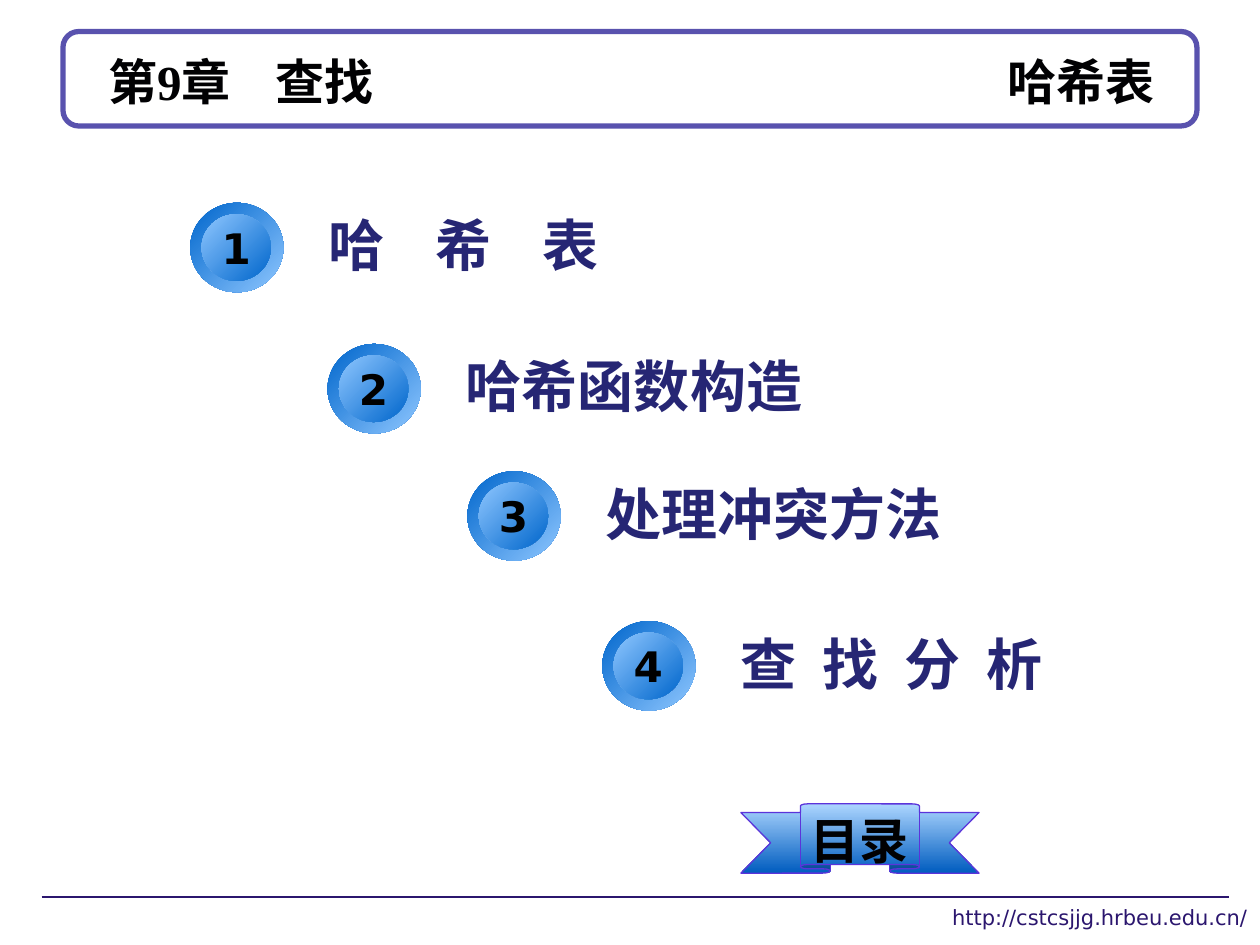
from lxml.etree import SubElement
from pptx import Presentation
from pptx.dml.color import RGBColor
from pptx.enum.shapes import MSO_CONNECTOR, MSO_SHAPE
from pptx.enum.text import MSO_ANCHOR, PP_ALIGN
from pptx.oxml.ns import qn
from pptx.util import Inches, Pt

WHITE = RGBColor(0xFF, 0xFF, 0xFF)
BLACK = RGBColor(0x00, 0x00, 0x00)
INK = RGBColor(0x01, 0x01, 0x03)
FRAME = RGBColor(0x59, 0x52, 0xAE)
FOOTER = RGBColor(0x2B, 0x16, 0x6E)
TOPIC = RGBColor(0x26, 0x26, 0x74)
DEEP_BLUE = RGBColor(0x00, 0x66, 0xCC)
PALE_BLUE = RGBColor(0x8F, 0xC7, 0xFF)
RIBBON_TOP = RGBColor(0xAD, 0xD6, 0xFF)
RIBBON_BASE = RGBColor(0x00, 0x5C, 0xBF)
RIBBON_EDGE = RGBColor(0x5B, 0x34, 0xDA)

TITLE_FONT = dict(name="Times New Roman", size=Pt(28), bold=True, color=INK)
TOPIC_FONT = dict(name="Times New Roman", size=Pt(32), bold=True, color=TOPIC)
NUMBER_FONT = dict(name="DejaVu Sans", size=Pt(24), bold=True, color=BLACK)
RIBBON_FONT = dict(name="Lato", size=Pt(28), bold=True, color=INK)
FOOTER_FONT = dict(name="DejaVu Sans", size=Pt(12), bold=False, color=FOOTER)

TOPICS = [
    (1.51, 1.61, "哈\t希\t表", 0.85),
    (2.6, 2.73, "哈希函数构造", None),
    (3.71, 3.74, "处理冲突方法", None),
    (4.78, 4.93, "查\t找\t分\t析", 0.65),
]


def write(shape, text, font, align=PP_ALIGN.LEFT, tabs=(), **frame_format):
    """Put one formatted paragraph in a shape and return it."""
    frame = shape.text_frame
    settings = dict(word_wrap=True, vertical_anchor=MSO_ANCHOR.MIDDLE)
    for key, value in {**settings, **frame_format}.items():
        setattr(frame, key, value)
    paragraph = frame.paragraphs[0]
    paragraph.alignment = align
    if tabs:
        stops = SubElement(paragraph._p.get_or_add_pPr(), qn("a:tabLst"))
        for position, kind in tabs:
            SubElement(stops, qn("a:tab"), pos=str(Inches(position)), algn=kind)
    run = paragraph.add_run()
    run.text = text
    for key, value in font.items():
        if key == "color":
            run.font.color.rgb = value
        else:
            setattr(run.font, key, value)
    return paragraph


def add_label(shapes, left, top, width, height, *text_args, **text_format):
    """Add a text box with one formatted paragraph."""
    label = shapes.add_textbox(
        Inches(left), Inches(top), Inches(width), Inches(height))
    write(label, *text_args, **text_format)


def add_outline(shapes, kind, left, top, width, height, line=None, weight=0):
    """Add a shadowless preset shape with an optional outline."""
    shape = shapes.add_shape(
        kind, Inches(left), Inches(top), Inches(width), Inches(height))
    shape.shadow.inherit = False
    if line is None:
        shape.line.fill.background()
    else:
        shape.line.color.rgb = line
        shape.line.width = Pt(weight)
    return shape


def shade(shape, start, end, angle):
    """Fill a shape with a two-colour gradient at a clockwise angle."""
    shape.fill.gradient()
    shape.fill.gradient_angle = 360 - angle
    for stop, color, position in zip(
            shape.fill.gradient_stops, (start, end), (0, 1)):
        stop.color.rgb = color
        stop.position = position


def add_header(slide, left, top, width, height):
    """Add the framed chapter title."""
    frame = add_outline(slide.shapes, MSO_SHAPE.ROUNDED_RECTANGLE,
                        left, top, width, height, FRAME, 3)
    frame.adjustments[0] = 0.167
    frame.fill.solid()
    frame.fill.fore_color.rgb = WHITE
    add_label(slide.shapes, left, top + 0.08, width, 0.62,
              "第9章\t查找\t哈希表", TITLE_FONT,
              tabs=[(1.33, "l"), (8.3, "r")], margin_left=Inches(0.36))


def add_topic(slide, left, top, number, text, pitch):
    """Add a numbered badge with its topic to the right."""
    badge = slide.shapes.add_group_shape()
    rim = add_outline(badge.shapes, MSO_SHAPE.OVAL, left, top, 0.74, 0.71)
    shade(rim, DEEP_BLUE, PALE_BLUE, 45)
    core = add_outline(badge.shapes, MSO_SHAPE.OVAL,
                       left + 0.09, top + 0.09, 0.55, 0.53)
    shade(core, PALE_BLUE, DEEP_BLUE, 45)
    write(core, str(number), NUMBER_FONT, PP_ALIGN.CENTER, word_wrap=False)
    tabs = [(pitch * (i + 1), "l") for i in range(text.count("\t"))]
    add_label(slide.shapes, left + 1, top + 0.04, 3.6, 0.58,
              text, TOPIC_FONT, tabs=tabs)


def add_contents_ribbon(slide, left, top, width, height):
    """Add the ribbon that marks the table of contents."""
    ribbon = add_outline(slide.shapes, MSO_SHAPE.UP_RIBBON,
                         left, top, width, height, RIBBON_EDGE, 0.75)
    ribbon.adjustments[0] = 0.125
    ribbon.adjustments[1] = 0.5
    shade(ribbon, RIBBON_TOP, RIBBON_BASE, 90)
    caption = write(ribbon, "目录", RIBBON_FONT, PP_ALIGN.CENTER,
                    word_wrap=False, margin_top=Inches(0.1))
    caption.line_spacing = 1.1


def add_footer(slide, left, top, width):
    """Add the rule and the web address below it."""
    rule = slide.shapes.add_connector(
        MSO_CONNECTOR.STRAIGHT, Inches(left), Inches(top),
        Inches(left + width), Inches(top))
    rule.line.color.rgb = FOOTER
    rule.line.width = Pt(0.75)
    SubElement(rule._element.spPr, qn("a:effectLst"))
    add_label(slide.shapes, left + width - 3.71, top + 0.01, 3.96, 0.37,
              "http://cstcsjjg.hrbeu.edu.cn/", FOOTER_FONT, PP_ALIGN.RIGHT,
              vertical_anchor=MSO_ANCHOR.TOP)


def main():
    """Build the slide and save it."""
    deck = Presentation()
    deck.slide_width, deck.slide_height = Inches(10), Inches(7.5)
    slide = deck.slides.add_slide(deck.slide_layouts[6])
    add_header(slide, 0.5, 0.25, 9, 0.75)
    for number, (left, top, text, pitch) in enumerate(TOPICS, 1):
        add_topic(slide, left, top, number, text, pitch)
    add_contents_ribbon(slide, 5.88, 6.38, 1.89, 0.55)
    add_footer(slide, 0.33, 7.12, 9.42)
    deck.save("out.pptx")


if __name__ == "__main__":
    main()
